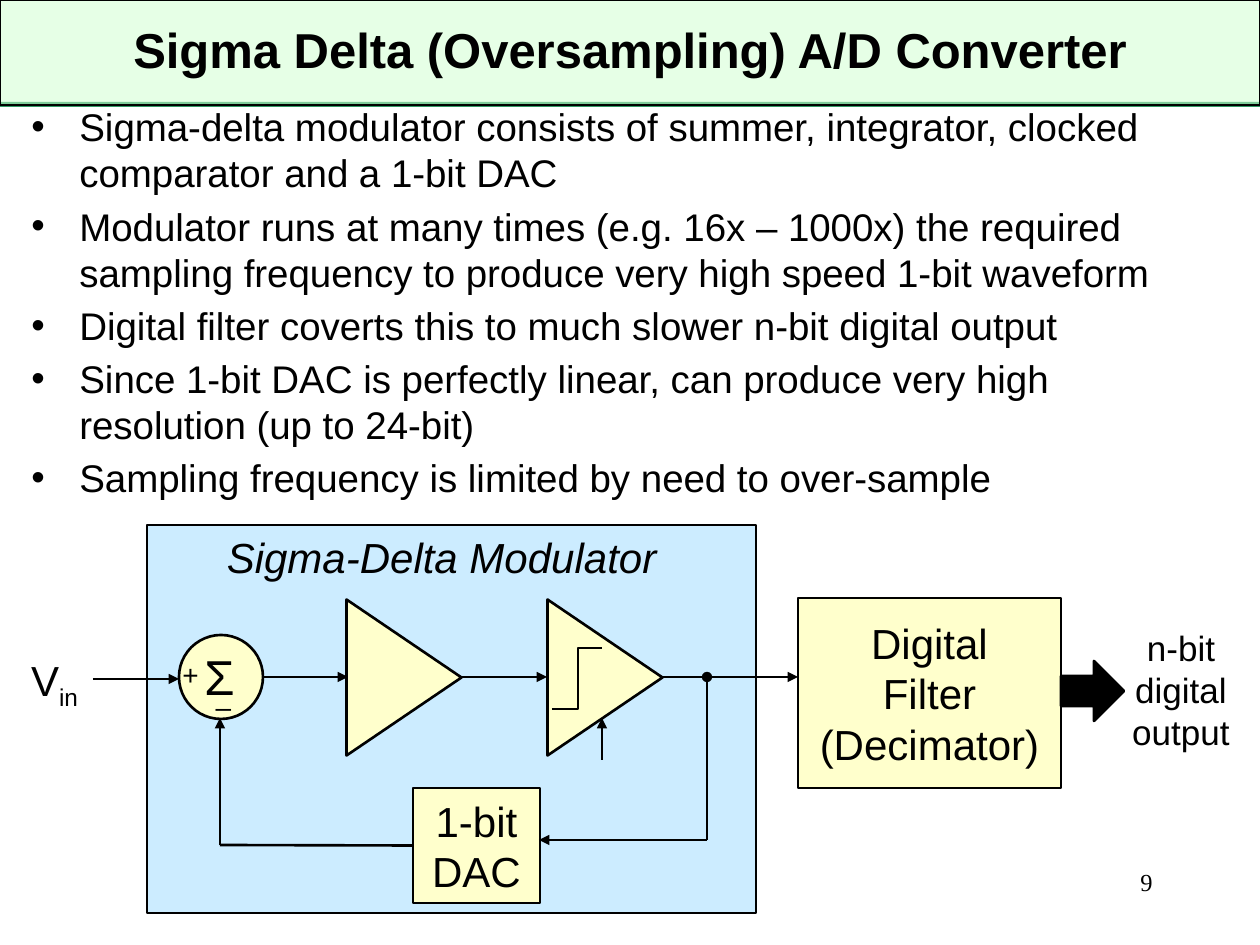
import pptx
import pptx.dml.color
import pptx.enum.shapes
import pptx.enum.text
import pptx.oxml
import pptx.oxml.ns
import pptx.util

SCALE = 914400 / 126
BLACK, CREAM = "000000", "FFFFCC"
SHAPE = pptx.enum.shapes.MSO_SHAPE
ALIGN = pptx.enum.text.PP_ALIGN
ANCHOR = pptx.enum.text.MSO_ANCHOR
BULLETS = [
    "Sigma-delta modulator consists of summer, integrator, clocked comparator and a 1-bit DAC",
    "Modulator runs at many times (e.g. 16x – 1000x) the required sampling frequency to produce very high speed 1-bit waveform",
    "Digital filter coverts this to much slower n-bit digital output",
    "Since 1-bit DAC is perfectly linear, can produce very high resolution (up to 24-bit)",
    "Sampling frequency is limited by need to over-sample",
]


def px(length):
    """Turn pixels into EMU."""
    return pptx.util.Emu(round(length * SCALE))


def colour(value):
    """Turn a hex string into a colour."""
    return pptx.dml.color.RGBColor.from_string(value)


def element(tag, **attributes):
    """Make a drawing element with the given attributes."""
    node = pptx.oxml.parse_xml(f"<a:{tag} {pptx.oxml.ns.nsdecls('a')}/>")
    for name, value in attributes.items():
        node.set(name, str(value))
    return node


def add_span(para, text, size, font="Arial", bold=False, italic=False):
    """Add one run of black text and return it."""
    span = para.add_run()
    span.text = text
    span.font.name, span.font.size = font, pptx.util.Pt(size)
    span.font.bold, span.font.italic = bold, italic
    span.font.color.rgb = colour(BLACK)
    return span


def fill_text(shape, lines, size, align=ALIGN.CENTER, anchor=ANCHOR.TOP, **style):
    """Write one paragraph for each line into a shape."""
    frame = shape.text_frame
    frame.word_wrap, frame.vertical_anchor = True, anchor
    for index, line in enumerate(lines):
        para = frame.add_paragraph() if index else frame.paragraphs[0]
        para.alignment = align
        add_span(para, line, size, **style)


def add_text(page, box, lines, size, **style):
    """Add a text box and return it."""
    label = page.shapes.add_textbox(*map(px, box))
    fill_text(label, lines, size, **style)
    return label


def add_block(page, kind, box, fill, line=1.5):
    """Add a filled preset shape, outlined in black when line is given."""
    shape = page.shapes.add_shape(kind, *map(px, box))
    shape.shadow.inherit = False
    shape.fill.solid()
    shape.fill.fore_color.rgb = colour(fill)
    if line:
        shape.line.color.rgb = colour(BLACK)
        shape.line.width = pptx.util.Pt(line)
    else:
        shape.line.fill.background()
    return shape


def add_wire(page, start, end, head=None, tail=None):
    """Add a straight black line with optional ends."""
    wire = page.shapes.add_connector(
        pptx.enum.shapes.MSO_CONNECTOR.STRAIGHT, *map(px, start + end))
    wire.line.color.rgb = colour(BLACK)
    wire.line.width = pptx.util.Pt(1.5)
    outline = wire.line._get_or_add_ln()
    for tag, kind in (("headEnd", head), ("tailEnd", tail)):
        if kind:
            outline.append(element(tag, type=kind))
    wire._element.spPr.append(element("effectLst"))
    return wire


def add_header(page, box):
    """Draw the title band with its green underline."""
    left, top, width, height = box
    add_block(page, SHAPE.RECTANGLE, (left, top + height - 3, width, 5), "339966", None)
    band = add_block(page, SHAPE.RECTANGLE, box, "CCFFCC", 0.75)
    band.fill._xPr.find(".//" + pptx.oxml.ns.qn("a:srgbClr")).append(
        element("alpha", val=49000))
    add_text(page, (left + 63, top + 10, width - 126, 78),
             ["Sigma Delta (Oversampling) A/D Converter"], 28,
             anchor=ANCHOR.MIDDLE, bold=True)


def add_bullets(page, box):
    """Write the bulleted list."""
    label = add_text(page, box, BULLETS, 22, align=ALIGN.LEFT)
    for index, para in enumerate(label.text_frame.paragraphs):
        properties = para._p.get_or_add_pPr()
        properties.set("marL", str(px(48)))
        properties.set("indent", str(px(-48)))
        properties.append(element("buFont", typeface="Arial"))
        properties.append(element("buChar", char="•"))
        para.space_before = pptx.util.Pt(4 if index else 0)


def add_modulator(page, box):
    """Draw the modulator loop inside its blue panel."""
    left, top, width, height = box

    def at(x, y, *size):
        return (left + x, top + y, *size)

    add_block(page, SHAPE.RECTANGLE, box, "CCECFF")
    add_block(page, SHAPE.OVAL, at(32, 110, 84, 84), CREAM)
    for x in (179, 380):
        add_block(page, SHAPE.ISOSCELES_TRIANGLE, at(x, 95, 156, 115), CREAM).rotation = 90

    builder = page.shapes.build_freeform(*at(405, 184), scale=SCALE)
    builder.add_line_segments([at(431, 184), at(431, 123), at(455, 123)], close=False)
    step = builder.convert_to_shape()
    step.shadow.inherit = False
    step.fill.background()
    step.line.color.rgb = colour(BLACK)
    step.line.width = pptx.util.Pt(1.5)

    dac = add_block(page, SHAPE.RECTANGLE, at(266, 263, 127, 115), CREAM)
    fill_text(dac, ["1-bit", "DAC"], 24, anchor=ANCHOR.MIDDLE)
    for start, end in (
        ((115, 152), (201, 152)),
        ((315, 152), (400, 152)),
        ((514, 152), (651, 152)),
        ((455, 235), (455, 193)),
        ((560, 315), (392, 315)),
        ((73, 320), (73, 193)),
    ):
        add_wire(page, at(*start), at(*end), tail="triangle")
    add_wire(page, at(560, 152), at(560, 315), head="oval")
    add_wire(page, at(266, 320), at(73, 320)).begin_connect(dac, 1)

    add_text(page, at(23, 126, 40, 47), ["+"], 16, anchor=ANCHOR.MIDDLE)
    add_text(page, at(32, 115, 81, 72), ["Σ"], 28)
    add_text(page, at(36, 158, 81, 71), ["–"], 16)
    add_text(page, at(58, 0, 473, 63), ["Sigma-Delta Modulator"], 24, italic=True)


def add_input(page, box):
    """Draw the input voltage label and its arrow."""
    left, top, width, height = box
    label = add_text(page, (left, top, 89, height), ["V"], 24)
    span = add_span(label.text_frame.paragraphs[0], "in", 24)
    span.font._rPr.set("baseline", "-25000")
    add_wire(page, (left + 83, top + 31), (left + width, top + 31), tail="triangle")


def add_output(page, box):
    """Draw the digital filter, the output arrow and its label."""
    left, top, width, height = box
    decimator = add_block(page, SHAPE.RECTANGLE, (left, top, 263, height), CREAM)
    fill_text(decimator, ["Digital", "Filter", "(Decimator)"], 24, anchor=ANCHOR.MIDDLE)
    add_block(page, SHAPE.RIGHT_ARROW, (left + 263, top + 63, 63, 60), BLACK)
    add_text(page, (left + 315, top + 22, width - 315, 140),
             ["n-bit", "digital", "output"], 20)


def main():
    """Build the slide and save the deck."""
    deck = pptx.Presentation()
    deck.slide_width, deck.slide_height = px(1260), px(945)
    page = deck.slides.add_slide(deck.slide_layouts[6])
    add_header(page, (0, 0, 1260, 105))
    add_bullets(page, (19, 97, 1210, 410))
    add_text(page, (903, 861, 262, 63), ["9"], 14, align=ALIGN.RIGHT, font="Times New Roman")
    add_modulator(page, (147, 525, 609, 388))
    add_input(page, (10, 648, 169, 63))
    add_output(page, (798, 598, 451, 190))
    deck.save("out.pptx")


if __name__ == "__main__":
    main()
